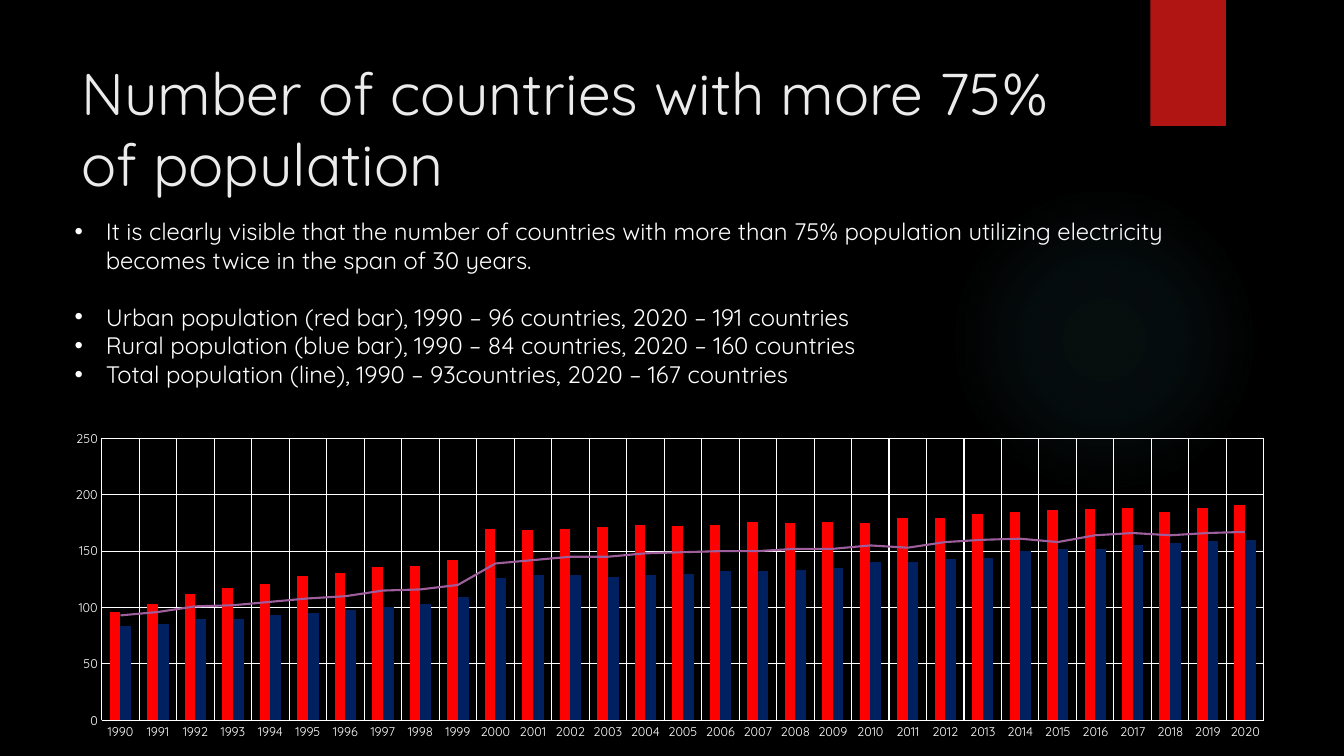
from lxml import etree
from pptx import Presentation
from pptx.chart.data import CategoryChartData
from pptx.dml.color import RGBColor
from pptx.enum.chart import XL_CHART_TYPE, XL_MARKER_STYLE, XL_TICK_MARK
from pptx.enum.shapes import MSO_SHAPE
from pptx.enum.text import MSO_ANCHOR, MSO_AUTO_SIZE, PP_ALIGN
from pptx.oxml import parse_xml
from pptx.oxml.ns import nsdecls, qn
from pptx.util import Inches, Pt

COLUMN = XL_CHART_TYPE.COLUMN_CLUSTERED
NO_MARK = XL_MARKER_STYLE.NONE
NO_TICK = XL_TICK_MARK.NONE
RECT, OVAL = MSO_SHAPE.RECTANGLE, MSO_SHAPE.OVAL
TOP, MIDDLE = MSO_ANCHOR.TOP, MSO_ANCHOR.MIDDLE
NO_FIT = MSO_AUTO_SIZE.NONE
LEFT = PP_ALIGN.LEFT

BLACK = RGBColor(0x00, 0x00, 0x00)
WHITE = RGBColor(0xFF, 0xFF, 0xFF)
PALE = RGBColor(0xEB, 0xEB, 0xEB)
TEAL = RGBColor(0x50, 0xB9, 0xC1)
BRICK = RGBColor(0xB0, 0x15, 0x13)
RED = RGBColor(0xFF, 0x00, 0x00)
NAVY = RGBColor(0x00, 0x20, 0x60)
PLUM = RGBColor(0x9E, 0x5E, 0x9B)

TITLE = "Number of countries with more 75% of population"
# Each point: text, space before in points
POINTS = [
    ("It is clearly visible that the number of countries with more than 75% "
     "population utilizing electricity becomes twice in the span of 30 years.", 0),
    ("Urban population (red bar), 1990 – 96 countries, 2020 – 191 countries", 20.4),
    ("Rural population (blue bar), 1990 – 84 countries, 2020 – 160 countries", 0),
    ("Total population (line), 1990 – 93countries, 2020 – 167 countries", 0),
]
YEARS = [str(year) for year in range(1990, 2021)]
URBAN = [96, 103, 112, 117, 121, 128, 131, 136, 137, 142, 170, 169, 170, 171, 173, 172,
         173, 176, 175, 176, 175, 179, 179, 183, 185, 186, 187, 188, 185, 188, 191]
RURAL = [84, 85, 90, 90, 93, 95, 98, 100, 103, 109, 126, 129, 129, 127, 129, 130,
         132, 132, 133, 135, 140, 140, 143, 144, 150, 152, 152, 155, 157, 159, 160]
TOTAL = [93, 96, 101, 102, 105, 108, 110, 115, 116, 120, 139, 142, 145, 145, 148, 149,
         150, 150, 152, 152, 155, 153, 158, 160, 161, 158, 164, 166, 164, 166, 167]


class Deck:
    """Holds the style and the current slide."""
    font = "Quicksand"

    def __init__(self, slide):
        self.slide = slide
        fill = slide.background.fill
        fill.solid()
        fill.fore_color.rgb = BLACK

    def style(self, font, size, color):
        font.name = self.font
        font.size = Pt(size)
        font.color.rgb = color

    def shape(self, kind, box, color):
        item = self.slide.shapes.add_shape(kind, *map(Inches, box))
        item.shadow.inherit = False
        item.line.fill.background()
        item.fill.solid()
        item.fill.fore_color.rgb = color
        return item

    def glow(self, box, color, stops):
        """Add a circle that fades out; stops are (position, opacity) percents."""
        props = self.shape(OVAL, box, color)._element.spPr
        marks = "".join(
            f'<a:gs pos="{pos * 1000}"><a:srgbClr val="{color}">'
            f'<a:alpha val="{alpha * 1000}"/></a:srgbClr></a:gs>' for pos, alpha in stops)
        grad = parse_xml(
            f'<a:gradFill {nsdecls("a")}><a:gsLst>{marks}</a:gsLst><a:path path="circle">'
            '<a:fillToRect l="50000" t="50000" r="50000" b="50000"/></a:path></a:gradFill>')
        props.replace(props.find(qn("a:solidFill")), grad)

    def place(self, holder, box, anchor):
        """Move a placeholder to its box, in front, and return its text frame."""
        holder.left, holder.top, holder.width, holder.height = map(Inches, box)
        self.slide.shapes._spTree.append(holder._element)
        frame = holder.text_frame
        frame.word_wrap = True
        frame.auto_size = NO_FIT
        frame.vertical_anchor = anchor
        return frame

    def text(self, para, words, size, color):
        para.alignment = LEFT
        run = para.add_run()
        run.text = words
        self.style(run.font, size, color)

    def title(self, words, box):
        frame = self.place(self.slide.shapes.title, box, MIDDLE)
        self.text(frame.paragraphs[0], words, 42, PALE)

    def bullets(self, points, box):
        frame = self.place(self.slide.placeholders[1], box, TOP)
        for i, (words, gap) in enumerate(points):
            para = frame.add_paragraph() if i else frame.paragraphs[0]
            para.space_before = Pt(gap)
            self.text(para, words, 17, WHITE)
            props = para._p.get_or_add_pPr()
            props.set("marL", str(Inches(0.31)))
            props.set("indent", str(Inches(-0.31)))
            etree.SubElement(props, qn("a:buFont"), typeface="Arial")
            etree.SubElement(props, qn("a:buChar"), char="•")

    def axis(self, axis):
        axis.major_tick_mark = axis.minor_tick_mark = NO_TICK
        axis.has_major_gridlines = True
        self.style(axis.tick_labels.font, 9, WHITE)
        for line in (axis.format.line, axis.major_gridlines.format.line):
            line.color.rgb = WHITE
            line.width = Pt(0.75)

    def combo(self, years, rows, colors, box, plot):
        """Add a column chart whose last series is drawn as a line."""
        data = CategoryChartData()
        data.categories = years
        for i, row in enumerate(rows, 1):
            data.add_series(f"Series {i}", row)
        chart = self.slide.shapes.add_chart(COLUMN, *map(Inches, box), data).chart
        chart.has_title = chart.has_legend = False
        self.style(chart.font, 10, WHITE)
        for axis in (chart.category_axis, chart.value_axis):
            self.axis(axis)
        chart.value_axis.minimum_scale = 0
        chart.value_axis.maximum_scale = 250
        chart.value_axis.major_unit = 50

        bars = chart.plots[0]
        bars.gap_width = 150
        bars.overlap = 0
        bars.vary_by_categories = False
        self.split(chart)
        for series, color in zip(bars.series, colors):
            series.format.fill.solid()
            series.format.fill.fore_color.rgb = color
        line = chart.plots[1].series[0]
        line.smooth = False
        line.marker.style = NO_MARK
        line.format.line.color.rgb = colors[-1]
        line.format.line.width = Pt(1.5)
        self.frame(chart, plot)

    def split(self, chart):
        """Move the last column series to a line plot on the same axes."""
        bar = chart._chartSpace.find(".//" + qn("c:barChart"))
        ser = bar.findall(qn("c:ser"))[-1]
        for flag in ser.findall(qn("c:invertIfNegative")):
            ser.remove(flag)
        ids = "".join(f'<c:axId val="{a.get("val")}"/>' for a in bar.findall(qn("c:axId")))
        line = parse_xml(
            f'<c:lineChart {nsdecls("c")}><c:grouping val="standard"/>'
            f'<c:varyColors val="0"/><c:marker val="1"/>{ids}</c:lineChart>')
        line.insert(2, ser)
        bar.addnext(line)

    def frame(self, chart, plot):
        """Fix the inner plot area, given as fractions of the chart."""
        area = chart._chartSpace.find(".//" + qn("c:plotArea"))
        for old in area.findall(qn("c:layout")):
            area.remove(old)
        sizes = "".join(f'<c:{k} val="{v}"/>' for k, v in zip("xywh", plot))
        area.insert(0, parse_xml(
            f'<c:layout {nsdecls("c")}><c:manualLayout><c:layoutTarget val="inner"/>'
            f'<c:xMode val="edge"/><c:yMode val="edge"/>{sizes}</c:manualLayout></c:layout>'))


def main():
    show = Presentation()
    show.slide_width, show.slide_height = Inches(13.33), Inches(7.5)
    deck = Deck(show.slides.add_slide(show.slide_layouts[1]))
    deck.glow((9.41, 1.83, 3.08, 3.08), TEAL, [(0, 7), (36, 6), (69, 0)])
    deck.shape(RECT, (11.41, 0, 0.75, 1.25), BRICK)
    deck.title(TITLE, (0.71, 0.5, 10.29, 1.53))
    deck.combo(YEARS, (URBAN, RURAL, TOTAL), (RED, NAVY, PLUM),
               (0.31, 3.9, 12.71, 3.83), (0.055, 0.117, 0.907, 0.731))
    deck.bullets(POINTS, (0.64, 2.1, 11.73, 1.82))
    show.save("out.pptx")


if __name__ == "__main__":
    main()
